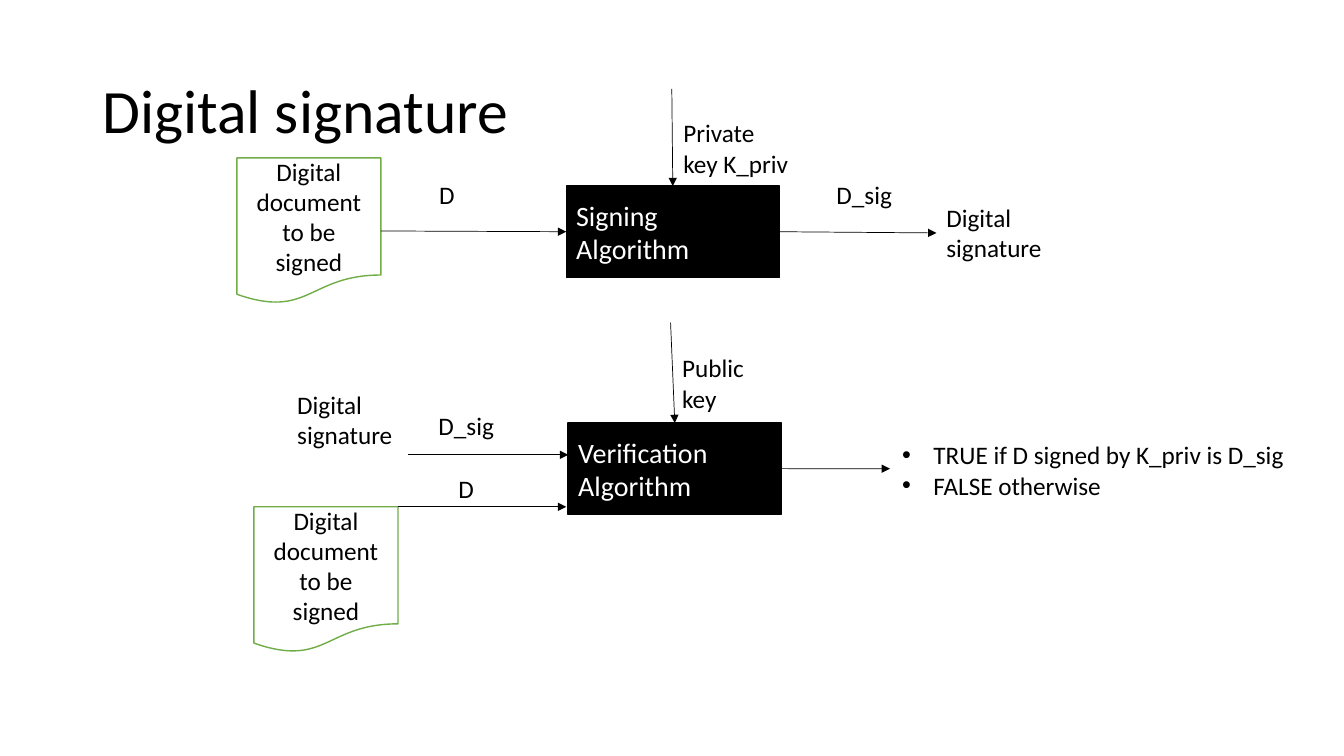
from dataclasses import dataclass
from typing import Optional

from lxml.etree import SubElement
from pptx import Presentation
from pptx.dml.color import RGBColor
from pptx.enum.shapes import MSO_CONNECTOR as LINE, MSO_SHAPE as SHAPE
from pptx.enum.text import MSO_ANCHOR as ANCHOR, MSO_AUTO_SIZE as AUTO, PP_ALIGN as ALIGN
from pptx.oxml.ns import qn
from pptx.util import Cm, Pt

BLACK = RGBColor(0x00, 0x00, 0x00)
WHITE = RGBColor(0xFF, 0xFF, 0xFF)
GREEN = RGBColor(0x70, 0xAD, 0x47)

TOP, LEFT, RIGHT = 0, 1, 3


@dataclass
class Block:
    name: str
    text: str
    x: float
    y: float


@dataclass
class BlockStyle:
    kind: SHAPE
    w: float
    h: float
    fill: RGBColor
    line: RGBColor
    color: RGBColor
    size: int
    align: ALIGN


@dataclass
class Label:
    text: str
    x: float
    y: float
    w: float
    h: float


@dataclass
class Joint:
    block: str
    side: int


@dataclass
class Arrow:
    start: tuple[float, float]
    end: tuple[float, float]
    begin_joint: Optional[Joint] = None
    end_joint: Optional[Joint] = None


ALGORITHM = BlockStyle(SHAPE.RECTANGLE, 5.37, 2.3, BLACK, BLACK, WHITE, 20, ALIGN.LEFT)
DOCUMENT = BlockStyle(SHAPE.FLOWCHART_DOCUMENT, 3.63, 3.68, WHITE, GREEN, BLACK, 18, ALIGN.CENTER)
DOCUMENT_TEXT = "Digital document to be signed"

BLOCKS = [
    (ALGORITHM, Block("signing", "Signing Algorithm", 14.27, 4.69)),
    (DOCUMENT, Block("document", DOCUMENT_TEXT, 5.97, 3.98)),
    (ALGORITHM, Block("verification", "Verification Algorithm", 14.32, 10.66)),
    (DOCUMENT, Block("signed document", DOCUMENT_TEXT, 6.4, 12.77)),
]

LABELS = [
    Label("D", 10.82, 4.39, 2.01, 1.03),
    Label("Private key K_priv", 16.97, 2.84, 3.3, 1.8),
    Label("Digital signature", 23.6, 4.98, 3.3, 1.8),
    Label("D_sig", 20.83, 4.39, 2.01, 1.03),
    Label("Public key", 16.94, 8.76, 2.97, 1.8),
    Label("D", 11.3, 11.81, 2.01, 1.03),
    Label("D_sig", 10.8, 10.21, 2.01, 1.03),
    Label("Digital signature", 7.24, 9.68, 3.3, 1.8),
]

ARROWS = [
    Arrow((9.6, 5.82), (14.27, 5.84), Joint("document", RIGHT), Joint("signing", LEFT)),
    Arrow((16.93, 2.24), (16.96, 4.69), end_joint=Joint("signing", TOP)),
    Arrow((19.64, 5.84), (23.6, 5.87), begin_joint=Joint("signing", RIGHT)),
    Arrow((16.9, 8.13), (17, 10.66), end_joint=Joint("verification", TOP)),
    Arrow((10.03, 12.77), (14.27, 12.77)),
    Arrow((10.29, 11.46), (14.32, 11.46)),
    Arrow((19.69, 11.81), (22.43, 11.81), begin_joint=Joint("verification", RIGHT)),
]

RESULTS = ["TRUE if D signed by K_priv is D_sig", "FALSE otherwise"]


def apply(target, values: dict) -> None:
    for key, value in values.items():
        setattr(target, key, value)


def write(p, text: str, size: int, color: RGBColor = BLACK, align: ALIGN = ALIGN.LEFT) -> None:
    p.alignment = align
    r = p.add_run()
    r.text = text
    apply(r.font, {"name": "Calibri", "size": Pt(size)})
    r.font.color.rgb = color


def place(sp, x: float, y: float, w: float, h: float) -> None:
    apply(sp, {"left": Cm(x), "top": Cm(y), "width": Cm(w), "height": Cm(h)})


def add_block(slide, style: BlockStyle, block: Block):
    sp = slide.shapes.add_shape(style.kind, Cm(block.x), Cm(block.y), Cm(style.w), Cm(style.h))
    sp.shadow.inherit = False
    sp.fill.solid()
    sp.fill.fore_color.rgb = style.fill
    sp.line.color.rgb = style.line
    sp.line.width = Pt(1)
    tf = sp.text_frame
    apply(tf, {"word_wrap": True, "vertical_anchor": ANCHOR.MIDDLE})
    write(tf.paragraphs[0], block.text, style.size, style.color, style.align)
    return sp


def add_label(slide, label: Label) -> None:
    sp = slide.shapes.add_textbox(Cm(label.x), Cm(label.y), Cm(label.w), Cm(label.h))
    tf = sp.text_frame
    apply(tf, {"word_wrap": True, "auto_size": AUTO.SHAPE_TO_FIT_TEXT})
    write(tf.paragraphs[0], label.text, 18)


def add_arrow(slide, arrow: Arrow, blocks: dict) -> None:
    points = [Cm(v) for v in (*arrow.start, *arrow.end)]
    cx = slide.shapes.add_connector(LINE.STRAIGHT, *points)
    if arrow.begin_joint:
        cx.begin_connect(blocks[arrow.begin_joint.block], arrow.begin_joint.side)
    if arrow.end_joint:
        cx.end_connect(blocks[arrow.end_joint.block], arrow.end_joint.side)
    cx.line.color.rgb = BLACK
    cx.line.width = Pt(0.5)
    sp_pr = cx._element.spPr
    SubElement(sp_pr.find(qn("a:ln")), qn("a:tailEnd"), type="triangle")
    SubElement(sp_pr, qn("a:effectLst"))


def fill_title(sp) -> None:
    place(sp, 2.33, 1.02, 29.21, 3.68)
    tf = sp.text_frame
    apply(tf, {"word_wrap": True, "auto_size": AUTO.NONE, "vertical_anchor": ANCHOR.MIDDLE})
    p = tf.paragraphs[0]
    p.line_spacing = 0.9
    write(p, "Digital signature", 44)


def fill_results(sp) -> None:
    place(sp, 22.48, 10.95, 10.31, 1.8)
    tf = sp.text_frame
    apply(tf, {"word_wrap": True, "auto_size": AUTO.NONE, "vertical_anchor": ANCHOR.TOP})
    for i, text in enumerate(RESULTS):
        p = tf.add_paragraph() if i else tf.paragraphs[0]
        apply(p, {"space_before": Pt(0), "space_after": Pt(0)})
        write(p, text, 18)
        p_pr = p._p.get_or_add_pPr()
        p_pr.set("marL", str(Cm(0.79)))
        p_pr.set("indent", str(-Cm(0.79)))
        SubElement(p_pr, qn("a:buFont"), typeface="Arial")
        SubElement(p_pr, qn("a:buChar"), char="•")


def main() -> None:
    prs = Presentation()
    apply(prs, {"slide_width": Cm(33.87), "slide_height": Cm(19.05)})
    slide = prs.slides.add_slide(prs.slide_layouts[1])
    fill_title(slide.shapes.title)
    fill_results(slide.placeholders[1])
    blocks = {block.name: add_block(slide, style, block) for style, block in BLOCKS}
    for arrow in ARROWS:
        add_arrow(slide, arrow, blocks)
    for label in LABELS:
        add_label(slide, label)
    prs.save("out.pptx")


if __name__ == "__main__":
    main()
